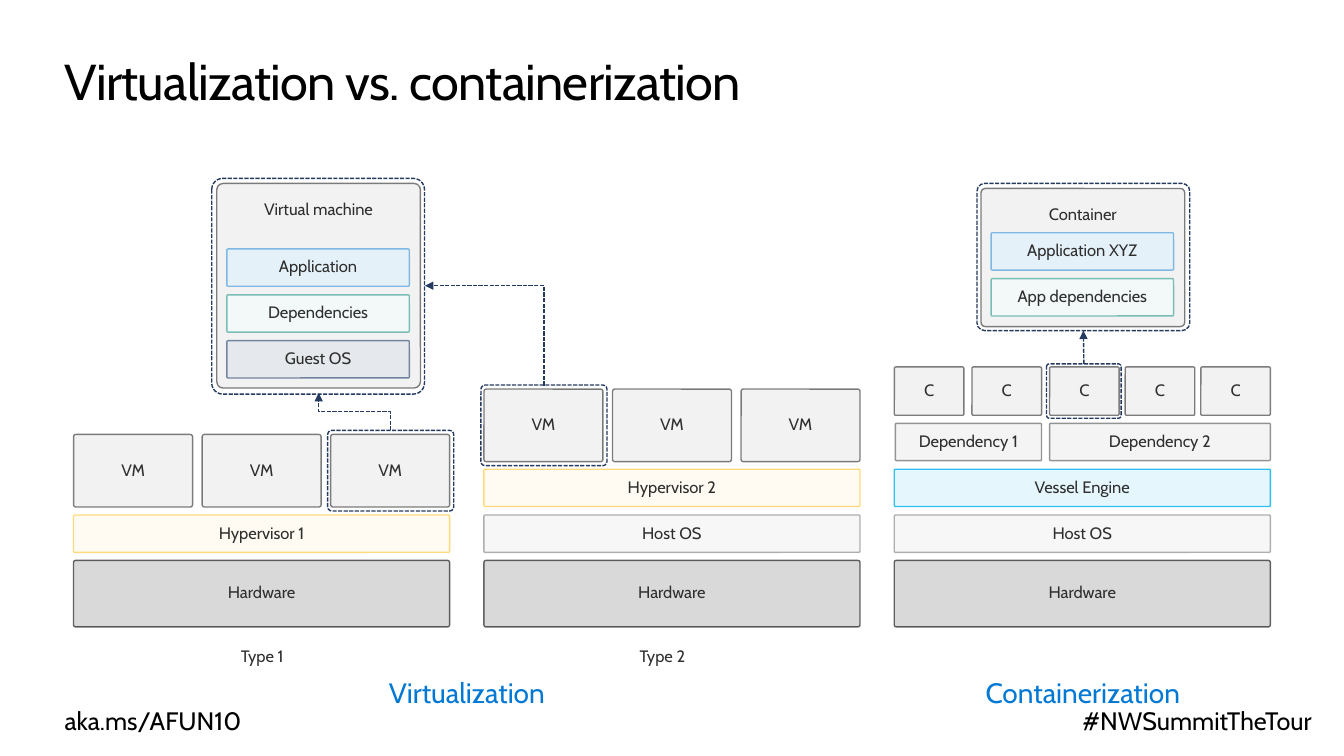
import pptx
import pptx.util
import pptx.dml.color
import pptx.enum.dml
import pptx.enum.shapes
import pptx.enum.text
import pptx.oxml
from pptx.oxml.ns import qn

Inches = pptx.util.Inches
Pt = pptx.util.Pt
RGBColor = pptx.dml.color.RGBColor
ALIGN = pptx.enum.text.PP_ALIGN
ANCHOR = pptx.enum.text.MSO_ANCHOR
CONNECTOR = pptx.enum.shapes.MSO_CONNECTOR
SYSTEM_DASH = pptx.enum.dml.MSO_LINE.SQUARE_DOT

FONT = "Cabin"
BLACK = RGBColor(0x00, 0x00, 0x00)
TEXT = RGBColor(0x2F, 0x2F, 0x2F)
GRAY = RGBColor(0x63, 0x63, 0x63)
YELLOW = RGBColor(0xFF, 0xB9, 0x00)
CYAN = RGBColor(0x00, 0xB0, 0xF0)
BLUE = RGBColor(0x00, 0x78, 0xD4)
NAVY = RGBColor(0x24, 0x3A, 0x5E)
SLATE, SLATE_LIGHT = RGBColor(0x72, 0x84, 0x9E), RGBColor(0xE5, 0xE8, 0xED)
TEAL, TEAL_LIGHT = RGBColor(0x79, 0xBE, 0xB5), RGBColor(0xF2, 0xF9, 0xF8)
SKY, SKY_LIGHT = RGBColor(0x7F, 0xB8, 0xE2), RGBColor(0xE5, 0xF1, 0xF9)

# Box styles: fill colour, fill opacity %, line colour, line opacity %
HARDWARE = (BLACK, 15, BLACK, 60)
MACHINE = (BLACK, 5, BLACK, 50)
HOST = (GRAY, 5, GRAY, 50)
HYPERVISOR = (YELLOW, 5, YELLOW, 50)
ENGINE = (CYAN, 10, CYAN, 80)
DEPENDENCY = (TEXT, 5, TEXT, 50)
GUEST = (SLATE_LIGHT, 100, SLATE, 100)
LIBRARIES = (TEAL_LIGHT, 100, TEAL, 100)
APPLICATION = (SKY_LIGHT, 100, SKY, 100)

presentation = pptx.Presentation()
presentation.slide_width = Inches(13.33)
presentation.slide_height = Inches(7.5)
slide = presentation.slides.add_slide(presentation.slide_layouts[5])
shapes = slide.shapes


def write(shape, text, size, color, align, margin_x, margin_y, anchor=ANCHOR.TOP):
    frame = shape.text_frame
    frame.word_wrap = True
    frame.auto_size = pptx.enum.text.MSO_AUTO_SIZE.NONE
    frame.vertical_anchor = anchor
    frame.margin_left = frame.margin_right = Inches(margin_x)
    frame.margin_top = frame.margin_bottom = Inches(margin_y)
    paragraph = frame.paragraphs[0]
    paragraph.text = text
    paragraph.alignment = align
    paragraph.font.name = FONT
    paragraph.font.size = Pt(size)
    paragraph.font.color.rgb = color
    return paragraph


def add_box(text, left, top, width, height, style=None, anchor=ANCHOR.MIDDLE):
    """Add a labelled box, or a dashed outline when no style is given."""
    box = shapes.add_shape(pptx.enum.shapes.MSO_SHAPE.ROUNDED_RECTANGLE,
                           Inches(left), Inches(top), Inches(width), Inches(height))
    box.shadow.inherit = False
    box.line.width = Pt(1)
    if style is None:
        box.adjustments[0] = 0.052
        box.fill.background()
        box.line.color.rgb = NAVY
        box.line.dash_style = SYSTEM_DASH
        return box
    box.adjustments[0] = 0.031
    fill_color, fill_opacity, line_color, line_opacity = style
    box.fill.solid()
    box.fill.fore_color.rgb = fill_color
    box.line.color.rgb = line_color
    colors = box._element.spPr.iter(qn("a:srgbClr"))
    for color, opacity in zip(colors, (fill_opacity, line_opacity)):
        if opacity < 100:
            alpha = pptx.oxml.parse_xml(
                '<a:alpha xmlns:a="http://schemas.openxmlformats.org/drawingml/2006/main"/>')
            alpha.set("val", str(opacity * 1000))
            color.append(alpha)
    write(box, text, 11.8, TEXT, ALIGN.CENTER, 0.2, 0.16, anchor).line_spacing = 0.9
    return box


# Title
title = shapes.title
title.left, title.top = Inches(0.64), Inches(0.5)
title.width, title.height = Inches(12.05), Inches(0.61)
heading = write(title, "Virtualization vs. containerization", 36, BLACK, ALIGN.LEFT, 0, 0)
heading._p.pPr.find(qn("a:defRPr")).set("spc", "-50")

# Footers and captions
for text, left, top, width, height, size, color, align, margin in (
        ("aka.ms/AFUN10", 0.64, 7, 4.55, 0.3, 18, BLACK, ALIGN.LEFT, 0),
        ("#NWSummitTheTour", 8.46, 7, 4.55, 0.3, 18, BLACK, ALIGN.RIGHT, 0),
        ("Virtualization", 2.69, 6.54, 3.88, 0.65, 20, BLUE, ALIGN.CENTER, 0.16),
        ("Containerization", 8.8, 6.54, 3.88, 0.65, 20, BLUE, ALIGN.CENTER, 0.16),
        ("Type 1", 1.64, 6.25, 1.92, 0.51, 11.8, TEXT, ALIGN.CENTER, 0.16),
        ("Type 2", 5.61, 6.25, 1.92, 0.51, 11.8, TEXT, ALIGN.CENTER, 0.16)):
    label = shapes.add_textbox(Inches(left), Inches(top), Inches(width), Inches(height))
    write(label, text, size, color, align, margin, margin)

# Stacks: hardware at the bottom, thin layers above it
COLUMN_LEFTS = (0.73, 4.8, 8.87)
COLUMN_WIDTH = 3.73
LAYER_TOP, LAYER_STEP, LAYER_HEIGHT = 5.11, 0.455, 0.37
stacks = (
    [("Hypervisor 1", HYPERVISOR)],
    [("Host OS", HOST), ("Hypervisor 2", HYPERVISOR)],
    [("Host OS", HOST), ("Vessel Engine", ENGINE)],
)
for left, layers in zip(COLUMN_LEFTS, stacks):
    add_box("Hardware", left, 5.56, COLUMN_WIDTH, 0.66, HARDWARE)
    for level, (text, style) in enumerate(layers):
        add_box(text, left, LAYER_TOP - level * LAYER_STEP, COLUMN_WIDTH, LAYER_HEIGHT, style)

# Virtual machines on the two hypervisors
for left, top in zip(COLUMN_LEFTS, (4.31, 3.86)):
    for index in range(3):
        add_box("VM", left + index * 1.275, top, 1.18, 0.72, MACHINE)

# Dependencies and containers on the engine
add_box("Dependency 1", 8.88, 4.2, 1.45, LAYER_HEIGHT, DEPENDENCY)
add_box("Dependency 2", 10.41, 4.2, 2.19, LAYER_HEIGHT, DEPENDENCY)
for left in (8.87, 9.64, 10.41, 11.16, 11.91):
    add_box("C", left, 3.64, 0.69, 0.48, MACHINE)

# Enlarged virtual machine and container
details = (
    ("Virtual machine", 2.15, 1.82, 2.03, 2.47,
     [("Application", APPLICATION), ("Dependencies", LIBRARIES), ("Guest OS", GUEST)]),
    ("Container", 9.73, 1.87, 1.37, 2.31,
     [("Application XYZ", APPLICATION), ("App dependencies", LIBRARIES)]),
)
for text, left, top, height, first_top, parts in details:
    add_box(text, left, top, 2.02, height, MACHINE, ANCHOR.TOP)
    for index, (part, style) in enumerate(parts):
        add_box(part, left + 0.1, first_top + index * LAYER_STEP, 1.81, LAYER_HEIGHT, style)

# Dashed outlines
add_box("", 2.1, 1.77, 2.11, 2.14)
add_box("", 3.25, 4.27, 1.25, 0.8)
add_box("", 4.77, 3.82, 1.25, 0.8)
container_outline = add_box("", 9.69, 1.82, 2.11, 1.46)
small_outline = add_box("", 10.38, 3.61, 0.74, 0.54)

# Arrows; the elbows are turned so that they leave upwards
first_elbow = shapes.add_connector(CONNECTOR.ELBOW, Inches(3.33), Inches(4.44),
                                   Inches(3.7), Inches(3.73))
second_elbow = shapes.add_connector(CONNECTOR.ELBOW, Inches(4.31), Inches(3.92),
                                    Inches(5.3), Inches(2.74))
for elbow, preset in ((first_elbow, "bentConnector3"), (second_elbow, "bentConnector2")):
    elbow._element.spPr.find(qn("a:xfrm")).set("rot", str(270 * 60000))
    elbow._element.spPr.find(qn("a:prstGeom")).set("prst", preset)
container_arrow = shapes.add_connector(CONNECTOR.STRAIGHT, Inches(10.74), Inches(3.61),
                                       Inches(10.74), Inches(3.28))
container_arrow.begin_connect(small_outline, 0)
container_arrow.end_connect(container_outline, 2)
for arrow in (first_elbow, second_elbow, container_arrow):
    arrow.line.color.rgb = NAVY
    arrow.line.width = Pt(1)
    arrow.line.dash_style = SYSTEM_DASH
    properties = arrow._element.spPr
    line = properties.find(qn("a:ln"))
    line.append(line.makeelement(qn("a:tailEnd"), {"type": "triangle"}))
    properties.append(properties.makeelement(qn("a:effectLst"), {}))

presentation.save("out.pptx")
